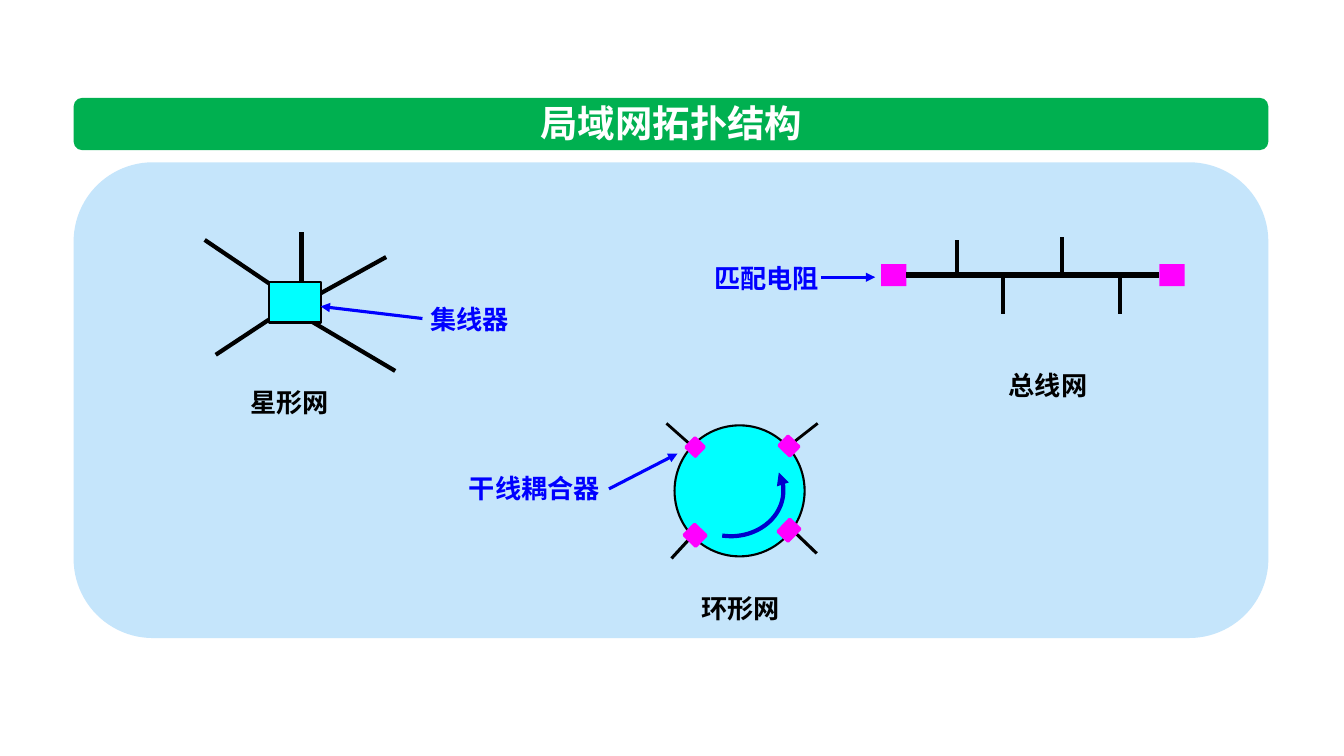
from dataclasses import dataclass

from lxml.etree import SubElement
from pptx import Presentation
from pptx.dml.color import RGBColor
from pptx.enum.shapes import MSO_CONNECTOR, MSO_SHAPE
from pptx.enum.text import MSO_ANCHOR, MSO_AUTO_SIZE, PP_ALIGN
from pptx.oxml.ns import qn
from pptx.util import Inches, Pt


@dataclass(frozen=True)
class Theme:
    font: str = "Noto Sans CJK SC"
    title_size: float = 26.7
    label_size: float = 18.7
    white: str = "FFFFFF"
    black: str = "000000"
    banner: str = "00B050"
    panel: str = "C5E5FB"
    node: str = "00FFFF"
    coupler: str = "FF00FF"
    callout: str = "0000FF"
    flow: str = "0000CC"


class TopologySlide:
    def __init__(self, presentation, theme):
        self.theme = theme
        self.slide = presentation.slides.add_slide(presentation.slide_layouts[5])
        self.shapes = self.slide.shapes

    def box(self, preset, bounds, fill=None, line=None, width=1.5, rotation=0):
        shape = self.shapes.add_shape(preset, *map(Inches, bounds))
        shape.shadow.inherit = False
        shape.rotation = rotation
        if fill:
            shape.fill.solid()
            shape.fill.fore_color.rgb = RGBColor.from_string(fill)
        else:
            shape.fill.background()
        if line:
            shape.line.color.rgb = RGBColor.from_string(line)
            shape.line.width = Pt(width)
        else:
            shape.line.fill.background()
        return shape

    def line(self, start, end, width, color=None, arrow=False):
        connector = self.shapes.add_connector(
            MSO_CONNECTOR.STRAIGHT, *map(Inches, (*start, *end)))
        connector.line.color.rgb = RGBColor.from_string(color or self.theme.black)
        connector.line.width = Pt(width)
        if arrow:
            self.arrowhead(connector, "a:tailEnd")
        SubElement(connector.element.spPr, qn("a:effectLst"))
        return connector

    def arrowhead(self, shape, end):
        SubElement(shape.element.spPr.find(qn("a:ln")), qn(end), type="triangle")

    def set_text(self, shape, text, size, color, align):
        frame = shape.text_frame
        frame.auto_size = MSO_AUTO_SIZE.NONE
        frame.vertical_anchor = MSO_ANCHOR.MIDDLE
        frame.word_wrap = False
        frame.margin_left = frame.margin_right = 0
        frame.margin_top = frame.margin_bottom = 0
        paragraph = frame.paragraphs[0]
        paragraph.alignment = align
        run = paragraph.add_run()
        run.text = text
        run.font.size = Pt(size)
        run.font.bold = True
        run.font.color.rgb = RGBColor.from_string(color)
        run.font.name = self.theme.font
        SubElement(run.font._element, qn("a:ea"), typeface=self.theme.font)

    def title(self, text, bounds, backdrop):
        title = self.shapes.title
        title.left, title.top, title.width, title.height = map(Inches, bounds)
        self.set_text(title, text, self.theme.title_size, self.theme.white, PP_ALIGN.CENTER)
        backdrop.element.addnext(title.element)

    def label(self, text, bounds, color=None, align=PP_ALIGN.CENTER):
        label = self.shapes.add_textbox(*map(Inches, bounds))
        self.set_text(label, text, self.theme.label_size, color or self.theme.black, align)

    def callout(self, text, bounds, start, target, align=PP_ALIGN.CENTER):
        self.label(text, bounds, self.theme.callout, align)
        self.line(start, target, 2.25, self.theme.callout, arrow=True)


def draw_bus(page):
    theme = page.theme
    left_resistor, right_resistor = [
        page.box(MSO_SHAPE.RECTANGLE, (x, 2.62, 0.25, 0.22), theme.coupler)
        for x in (8.74, 11.5)]
    trunk = page.line((8.99, 2.73), (11.5, 2.73), 4.5)
    trunk.begin_connect(left_resistor, 3)
    trunk.end_connect(right_resistor, 1)
    for x, tip in ((9.49, 2.38), (9.95, 3.12), (10.53, 2.35), (11.11, 3.12)):
        page.line((x, 2.73), (x, tip), 3)
    page.label("总线网", (9.9, 3.61, 0.99, 0.42))
    page.callout("匹配电阻", (6.95, 2.53, 1.31, 0.45), (8.14, 2.75), (8.68, 2.75))


def draw_ring(page):
    theme = page.theme
    tilt = 314
    for start, end, width in (
            ((6.88, 4.44), (6.61, 4.2), 2), ((7.83, 4.42), (8.11, 4.2), 2),
            ((7.85, 5.25), (8.1, 5.49), 2.25), ((6.89, 5.29), (6.66, 5.54), 2.25)):
        page.line(start, end, width)
    page.box(MSO_SHAPE.OVAL, (6.69, 4.22, 1.29, 1.3), theme.node, theme.black)
    for bounds in ((6.83, 4.37, 0.13, 0.13), (7.74, 5.19, 0.17, 0.14),
                   (7.76, 4.35, 0.13, 0.15), (6.82, 5.23, 0.15, 0.16)):
        page.box(MSO_SHAPE.RECTANGLE, bounds, theme.coupler, theme.coupler, 2.25, tilt)
    flow = page.box(MSO_SHAPE.ARC, (6.73, 4.42, 1.04, 0.9), line=theme.flow, width=3)
    for index, degrees in enumerate((339, 101)):
        flow.adjustments[index] = degrees * 0.6
    page.arrowhead(flow, "a:headEnd")
    page.label("环形网", (6.85, 5.82, 0.99, 0.42))
    page.callout("干线耦合器", (4.39, 4.62, 1.56, 0.45), (6.04, 4.85), (6.72, 4.5),
                 PP_ALIGN.RIGHT)


def draw_star(page):
    theme = page.theme
    for start, end in (
            ((2.77, 2.88), (2.03, 2.38)), ((2.99, 2.88), (2.99, 2.3)),
            ((2.73, 3.13), (2.14, 3.52)), ((2.99, 3.13), (3.92, 3.68)),
            ((3.09, 2.96), (3.83, 2.55))):
        page.line(start, end, 3)
    page.box(MSO_SHAPE.RECTANGLE, (2.67, 2.8, 0.51, 0.4), theme.node, theme.black)
    page.label("星形网", (2.38, 3.78, 0.99, 0.42))
    page.callout("集线器", (4.13, 2.94, 1.05, 0.45), (4.19, 3.16), (3.18, 3.04))


def main():
    presentation = Presentation()
    presentation.slide_width = Inches(13.33)
    presentation.slide_height = Inches(7.5)
    theme = Theme()
    page = TopologySlide(presentation, theme)
    banner = page.box(MSO_SHAPE.ROUNDED_RECTANGLE, (0.73, 0.97, 11.85, 0.52), theme.banner)
    page.title("局域网拓扑结构", (5.25, 0.94, 2.82, 0.55), banner)
    page.box(MSO_SHAPE.ROUNDED_RECTANGLE, (0.73, 1.61, 11.85, 4.72), theme.panel)
    draw_bus(page)
    draw_ring(page)
    draw_star(page)
    presentation.save("out.pptx")


if __name__ == "__main__":
    main()
